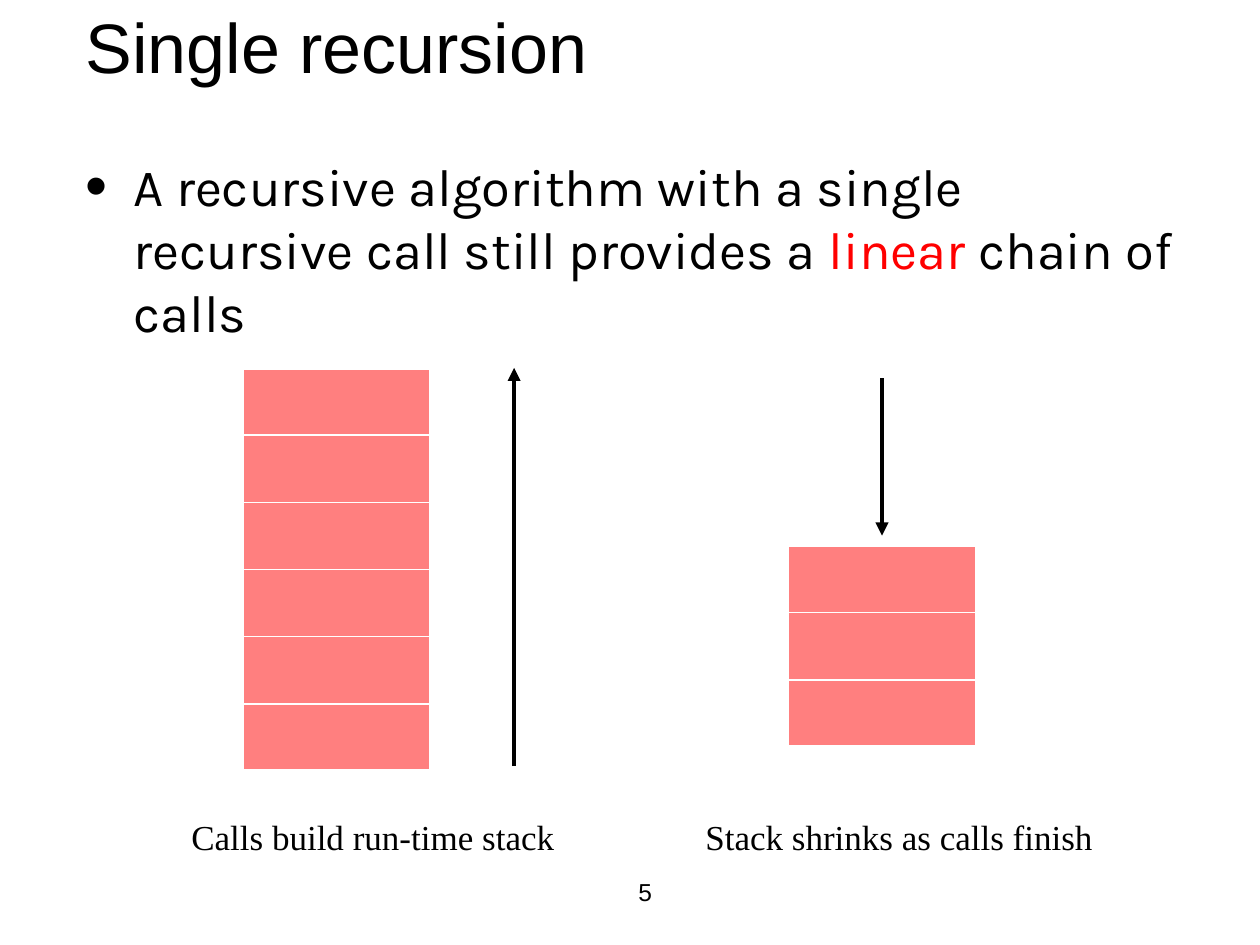
from dataclasses import dataclass

from lxml.etree import SubElement
from pptx import Presentation
from pptx.dml.color import RGBColor
from pptx.enum.shapes import MSO_CONNECTOR
from pptx.enum.text import MSO_ANCHOR as Anchor, MSO_AUTO_SIZE as AutoSize, PP_ALIGN as Align
from pptx.oxml.ns import qn
from pptx.util import Inches, Pt

BLACK, RED, WHITE = "000000", "FF0000", "FFFFFF"
ROW_HEIGHT, STACK_WIDTH = 3.2 / 6, 1.5


@dataclass
class Stack:
    left: float
    top: float
    rows: int


@dataclass
class Arrow:
    x: float
    start: float
    end: float


@dataclass
class Label:
    text: str
    box: tuple[float, float, float, float]
    font: str
    size: int
    wrap: bool = True
    align: Align = Align.LEFT
    anchor: Anchor = Anchor.TOP
    before: float = 0


STACKS = [Stack(1.92, 2.92, 6), Stack(6.25, 4.33, 3)]
ARROWS = [Arrow(4.08, 6.08, 2.92), Arrow(7, 3, 4.25)]
LABELS = [
    Label("5", (4.08, 6.83, 2.08, 0.5), "Arial", 14, wrap=False,
          align=Align.CENTER, anchor=Anchor.MIDDLE),
    Label("Calls build run-time stack", (1.42, 6.42, 3.33, 0.43), "Times New Roman", 20, before=2),
    Label("Stack shrinks as calls finish", (5.5, 6.42, 3.67, 0.43), "Times New Roman", 20, before=2),
]


def rgb(value: str) -> RGBColor:
    return RGBColor.from_string(value)


def place(sp, left: float, top: float, width: float, height: float) -> None:
    box = {"left": left, "top": top, "width": width, "height": height}
    for name, value in box.items():
        setattr(sp, name, Inches(value))


def apply_format(target, values: dict) -> None:
    for name, value in values.items():
        setattr(target, name, value)


def add_run(p, text: str, font: str, size: int, color: str = BLACK) -> None:
    r = p.add_run()
    r.text = text
    apply_format(r.font, {"name": font, "size": Pt(size)})
    r.font.color.rgb = rgb(color)


def add_bullet(p, indent: float) -> None:
    pPr = p._p.get_or_add_pPr()
    pPr.set("marL", str(Inches(indent)))
    pPr.set("indent", str(-Inches(indent)))
    SubElement(SubElement(pPr, qn("a:buClr")), qn("a:srgbClr"), val=BLACK)
    SubElement(pPr, qn("a:buSzPct"), val="120000")
    SubElement(pPr, qn("a:buFont"), typeface="Arial")
    SubElement(pPr, qn("a:buChar"), char="•")


def add_title(slide) -> None:
    sp = slide.shapes.title
    place(sp, 0.58, 0.28, 8.83, 0.33)
    tf = sp.text_frame
    apply_format(tf, {"auto_size": AutoSize.NONE, "vertical_anchor": Anchor.MIDDLE})
    p = tf.paragraphs[0]
    apply_format(p, {"alignment": Align.LEFT, "line_spacing": 0.7})
    add_run(p, "Single recursion", "Arial", 40)


def add_body(slide) -> None:
    sp = slide.placeholders[1]
    place(sp, 0.58, 1.17, 8.83, 5.5)
    tf = sp.text_frame
    tf.auto_size = AutoSize.NONE
    p = tf.paragraphs[0]
    p.space_before = Pt(3)
    add_bullet(p, 0.38)
    add_run(p, "A recursive algorithm with a single recursive call still provides a ", "Karla", 30)
    add_run(p, "linear", "Karla", 30, RED)
    add_run(p, " chain of calls", "Karla", 30)


def add_border(cell, side: str, width: float) -> None:
    ln = SubElement(cell._tc.get_or_add_tcPr(), qn(f"a:ln{side}"), w=str(Pt(width)))
    SubElement(SubElement(ln, qn("a:solidFill")), qn("a:srgbClr"), val=WHITE)


def add_stack(slide, stack: Stack) -> None:
    """Draw call frames with thick outer and thin inner borders."""
    table = slide.shapes.add_table(
        stack.rows, 1, Inches(stack.left), Inches(stack.top),
        Inches(STACK_WIDTH), Inches(ROW_HEIGHT * stack.rows)).table
    apply_format(table, {"first_row": False, "horz_banding": False})
    outer, inner = 2.25, 1
    for i in range(stack.rows):
        table.rows[i].height = Inches(ROW_HEIGHT)
        cell = table.cell(i, 0)
        widths = {"L": outer, "R": outer,
                  "T": outer if i == 0 else inner,
                  "B": outer if i == stack.rows - 1 else inner}
        for side, width in widths.items():
            add_border(cell, side, width)
        cell.fill.solid()
        cell.fill.fore_color.rgb = rgb(RED)
        color = cell._tc.tcPr.find(qn("a:solidFill")).find(qn("a:srgbClr"))
        SubElement(color, qn("a:alpha"), val="50000")


def add_arrow(slide, arrow: Arrow) -> None:
    s = slide.shapes.add_connector(
        MSO_CONNECTOR.STRAIGHT, Inches(arrow.x), Inches(arrow.start),
        Inches(arrow.x), Inches(arrow.end))
    s.line.width = Pt(2.5)
    s.line.color.rgb = rgb(BLACK)
    SubElement(s.line._get_or_add_ln(), qn("a:tailEnd"), type="triangle")
    SubElement(s._element.spPr, qn("a:effectLst"))


def add_label(slide, label: Label) -> None:
    sp = slide.shapes.add_textbox(*map(Inches, label.box))
    tf = sp.text_frame
    apply_format(tf, {"word_wrap": label.wrap, "vertical_anchor": label.anchor})
    p = tf.paragraphs[0]
    apply_format(p, {"alignment": label.align, "space_before": Pt(label.before)})
    add_run(p, label.text, label.font, label.size)


def main() -> None:
    prs = Presentation()
    apply_format(prs, {"slide_width": Inches(10), "slide_height": Inches(7.5)})
    slide = prs.slides.add_slide(prs.slide_layouts[1])
    add_title(slide)
    add_body(slide)
    for stack in STACKS:
        add_stack(slide, stack)
    for arrow in ARROWS:
        add_arrow(slide, arrow)
    for label in LABELS:
        add_label(slide, label)
    prs.save("out.pptx")


if __name__ == "__main__":
    main()
